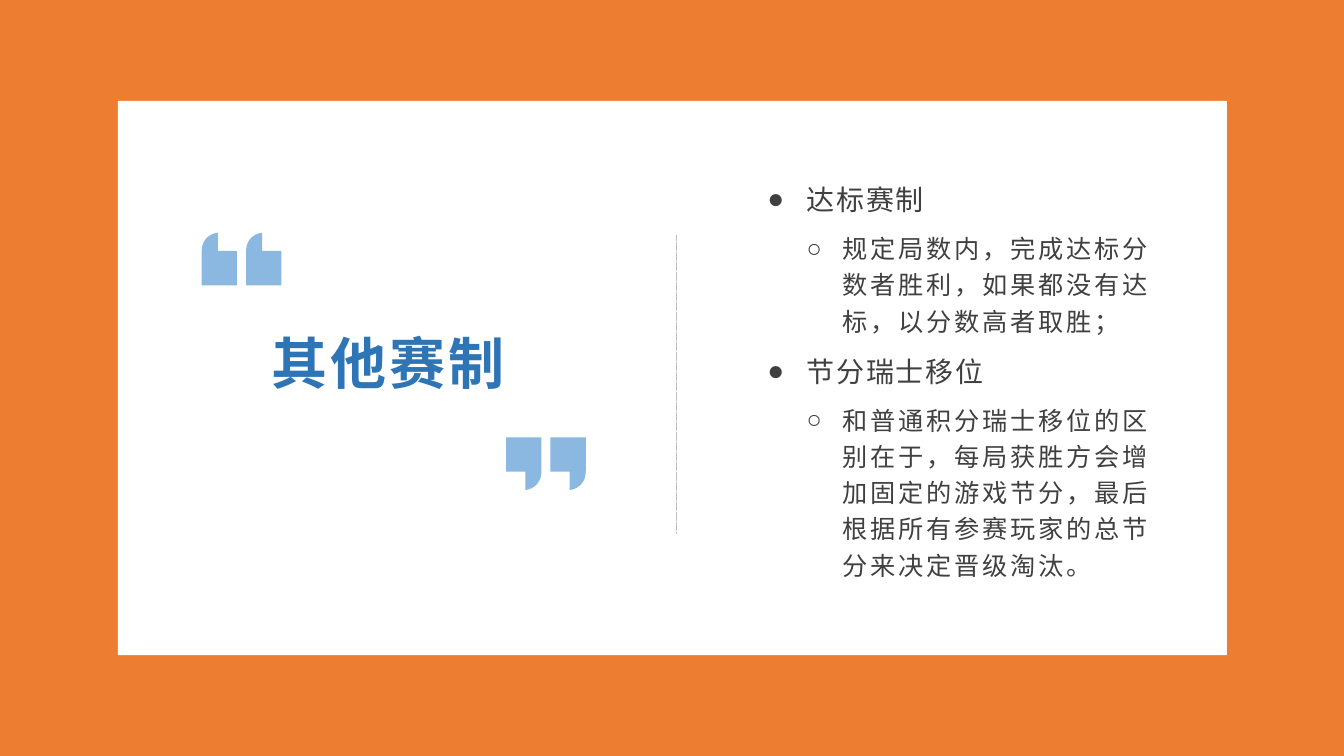
from lxml import etree
from pptx import Presentation
from pptx.dml.color import RGBColor
from pptx.enum.dml import MSO_LINE
from pptx.enum.shapes import MSO_CONNECTOR, MSO_SHAPE
from pptx.enum.text import MSO_ANCHOR, PP_ALIGN
from pptx.oxml.ns import qn
from pptx.util import Inches, Pt

RECTANGLE = MSO_SHAPE.RECTANGLE
STRAIGHT = MSO_CONNECTOR.STRAIGHT
DASH = MSO_LINE.DASH
MIDDLE = MSO_ANCHOR.MIDDLE
CENTER = PP_ALIGN.CENTER

COLORS = {
    "background": "ED7D31",
    "card": "FFFFFF",
    "divider": "BFBFBF",
    "quote": "5B9BD5",
    "title": "2E75B6",
    "body": "404040",
}
FONT = "Noto Sans CJK SC"

# Bullet, left margin, hanging indent, text size, letter spacing for each level
LEVELS = [
    ("●", 0.39, -0.39, 20, 1.2),
    ("○", 0.75, -0.36, 18, 2),
]

RULES = [
    (0, "达标赛制"),
    (1, "规定局数内，完成达标分数者胜利，如果都没有达标，以分数高者取胜；"),
    (0, "节分瑞士移位"),
    (1, "和普通积分瑞士移位的区别在于，每局获胜方会增加固定的游戏节分，"
        "最后根据所有参赛玩家的总节分来决定晋级淘汰。"),
]

# Opening quote mark: straight corners, then the curve back to the start
MARK_WIDTH, MARK_HEIGHT = 0.35, 0.52
MARK_CORNERS = [(0.16, 0), (0.16, 0.18), (0.35, 0.18), (0.35, 0.52), (0, 0.52), (0, 0.19)]
MARK_CURVE = [(0, 0.19), (0, 0.03), (0.13, 0), (0.16, 0)]
CURVE_STEPS = 16


def curve_point(controls, t):
    weights = ((1 - t) ** 3, 3 * t * (1 - t) ** 2, 3 * t ** 2 * (1 - t), t ** 3)
    return tuple(sum(w * c[axis] for w, c in zip(weights, controls)) for axis in (0, 1))


class SlideBuilder:
    def __init__(self, slide, colors, font):
        self.slide = slide
        self.colors = colors
        self.font = font

    def color(self, name):
        return RGBColor.from_string(self.colors[name])

    def paint(self, shape, name):
        shape.shadow.inherit = False
        shape.fill.solid()
        shape.fill.fore_color.rgb = self.color(name)
        shape.line.fill.background()

    def background(self, name):
        fill = self.slide.background.fill
        fill.solid()
        fill.fore_color.rgb = self.color(name)

    def rectangle(self, left, top, width, height, name):
        box = map(Inches, (left, top, width, height))
        self.paint(self.slide.shapes.add_shape(RECTANGLE, *box), name)

    def dashed_line(self, x, top, bottom, name):
        ends = map(Inches, (x, top, x, bottom))
        line = self.slide.shapes.add_connector(STRAIGHT, *ends)
        line.line.color.rgb = self.color(name)
        line.line.width = Pt(0.1)
        line.line.dash_style = DASH
        etree.SubElement(line._element.spPr, qn("a:effectLst"))

    def quote_mark(self, left, top, closing, name, opacity=70):
        curve = [curve_point(MARK_CURVE, i / CURVE_STEPS) for i in range(1, CURVE_STEPS)]
        points = MARK_CORNERS + curve
        if closing:  # a closing mark is the opening one turned half round
            points = [(MARK_WIDTH - x, MARK_HEIGHT - y) for x, y in points]
        points = [(Inches(left + x), Inches(top + y)) for x, y in points]
        builder = self.slide.shapes.build_freeform(*points[0])
        builder.add_line_segments(points[1:], close=True)
        shape = builder.convert_to_shape()
        self.paint(shape, name)
        fill_color = shape._element.spPr.find(qn("a:solidFill"))[0]
        etree.SubElement(fill_color, qn("a:alpha"), val=str(opacity * 1000))

    def text_box(self, left, top, width, height):
        box = map(Inches, (left, top, width, height))
        frame = self.slide.shapes.add_textbox(*box).text_frame
        frame.word_wrap = True
        frame.vertical_anchor = MIDDLE
        frame.margin_left = frame.margin_right = Inches(0.07)
        frame.margin_top = frame.margin_bottom = Inches(0.03)
        return frame

    def run(self, paragraph, text, size, name, spacing, bold=False):
        run = paragraph.add_run()
        run.text = text
        run.font.size = Pt(size)
        run.font.bold = bold
        run.font.color.rgb = self.color(name)
        run.font.name = self.font
        properties = run._r.get_or_add_rPr()
        properties.set("spc", str(round(spacing * 100)))
        etree.SubElement(properties, qn("a:ea"), typeface=self.font)

    def title(self, box, text):
        paragraph = self.text_box(*box).paragraphs[0]
        paragraph.alignment = CENTER
        self.run(paragraph, text, 40, "title", 2.4, bold=True)

    def bullet_list(self, box, items):
        frame = self.text_box(*box)
        for index, (level, text) in enumerate(items):
            paragraph = frame.add_paragraph() if index else frame.paragraphs[0]
            bullet, margin, indent, size, spacing = LEVELS[level]
            properties = paragraph._p.get_or_add_pPr()
            properties.set("marL", str(Inches(margin)))
            properties.set("indent", str(Inches(indent)))
            etree.SubElement(properties, qn("a:buFont"), typeface="Arial")
            etree.SubElement(properties, qn("a:buChar"), char=bullet)
            paragraph.level = level
            paragraph.line_spacing = 1.2
            paragraph.space_after = Pt(8)
            self.run(paragraph, text, size, "body", spacing)


def main():
    presentation = Presentation()
    presentation.slide_width = Inches(13.33)
    presentation.slide_height = Inches(7.5)
    slide = presentation.slides.add_slide(presentation.slide_layouts[6])
    builder = SlideBuilder(slide, COLORS, FONT)

    # Card and divider
    builder.background("background")
    builder.rectangle(1.17, 1, 11, 5.5, "card")
    builder.dashed_line(6.71, 2.33, 5.29, "divider")

    # Quote marks around the title
    for left, top, closing in ((2, 2.31, False), (5.02, 4.34, True)):
        for offset in (0, 0.44):
            builder.quote_mark(left + offset, top, closing, "quote")

    # Text
    builder.bullet_list((7.54, 1.65, 3.96, 4.2), RULES)
    builder.title((1.83, 3.18, 4.04, 0.83), "其他赛制")

    presentation.save("out.pptx")


if __name__ == "__main__":
    main()
